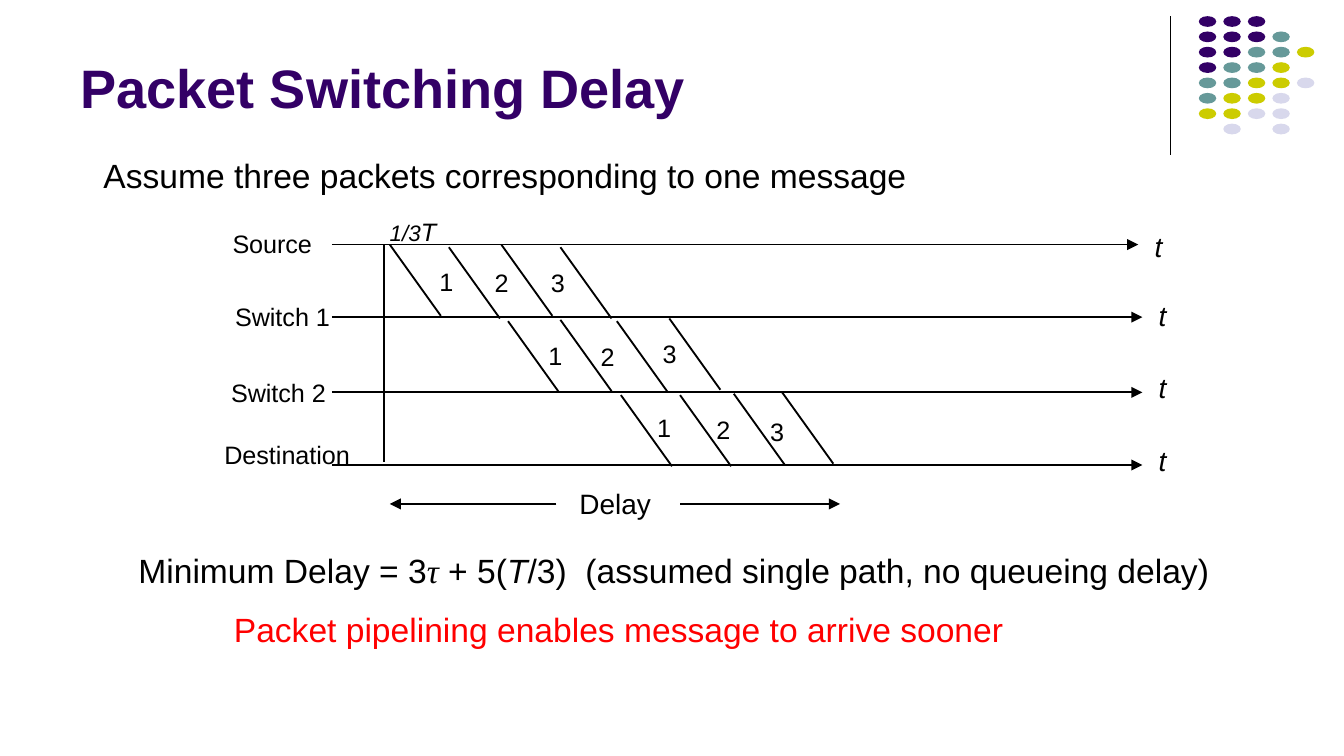
from pptx import Presentation
from pptx.dml.color import RGBColor
from pptx.enum.shapes import MSO_CONNECTOR, MSO_SHAPE
from pptx.enum.text import MSO_ANCHOR
from pptx.oxml.ns import qn
from pptx.util import Inches, Pt
from lxml import etree

BLACK = RGBColor(0x00, 0x00, 0x00)
RED = RGBColor(0xFF, 0x00, 0x00)
PURPLE = RGBColor(0x33, 0x00, 0x66)
TEAL = RGBColor(0x66, 0x99, 0x99)
OLIVE = RGBColor(0xCC, 0xCC, 0x00)
LAVENDER = RGBColor(0xD8, 0xD8, 0xEC)

DOT_COLORS = {"P": PURPLE, "T": TEAL, "O": OLIVE, "L": LAVENDER}
DOT_ROWS = ["PPP", "PPPT", "PPTTO", "PTTO", "TTOOL", "TOOL", "OOLL", " L L"]

# Per node: label, label x, label y, label width, axis y, axis end, t y
NODES = [
    ("Source", 0.06, 0.09, 0.75, 0.25, 6.87, 0.10),
    ("Switch 1", 0.08, 0.63, 0.86, 0.79, 6.90, 0.61),
    ("Switch 2", 0.05, 1.20, 0.87, 1.35, 6.90, 1.15),
    ("Destination", 0, 1.66, 1.10, 1.89, 6.90, 1.69),
]

# Per hop, relative to the sender's axis: packet edges, then packet numbers
HOPS = [
    ([(1.30, 0), (1.74, 0.02), (2.13, 0), (2.57, 0.02)],
     [(1.60, 0.12), (2.01, 0.13), (2.43, 0.13)]),
    ([(2.18, 0.03), (2.57, 0.02), (2.99, 0.03), (3.38, 0.01)],
     [(2.41, 0.13), (2.80, 0.14), (3.26, 0.12)]),
    ([(3.02, 0.02), (3.46, 0.02), (3.86, 0.01), (4.22, 0)],
     [(3.22, 0.11), (3.66, 0.12), (4.06, 0.14)]),
]
EDGE_RUN, EDGE_DROP = 0.38, 0.53


def add_line(slide, x1, y1, x2, y2, width=1, arrow=False):
    line = slide.shapes.add_connector(
        MSO_CONNECTOR.STRAIGHT, Inches(x1), Inches(y1), Inches(x2), Inches(y2))
    line.line.color.rgb = BLACK
    line.line.width = Pt(width)
    if arrow:
        etree.SubElement(line.line._get_or_add_ln(), qn("a:tailEnd"), type="triangle")
    etree.SubElement(line._element.spPr, qn("a:effectLst"))


def add_text(slide, left, top, width, height, runs, color=BLACK, wrap=False):
    """Add one paragraph; each run is (text, size, optional font settings)."""
    box = slide.shapes.add_textbox(
        Inches(left), Inches(top), Inches(width), Inches(height))
    frame = box.text_frame
    frame.word_wrap = wrap
    frame.margin_left = frame.margin_right = Inches(0.07)
    frame.margin_top = frame.margin_bottom = Inches(0.04)
    for text, size, *settings in runs:
        run = frame.paragraphs[0].add_run()
        run.text = text
        run.font.size = Pt(size)
        run.font.name = "Arial"
        run.font.color.rgb = color
        for name, value in (settings[0] if settings else {}).items():
            setattr(run.font, name, value)
    return frame


def add_corner_dots(slide, left, top):
    add_line(slide, left, top, left, top + 1.03, 0.75)
    for row, codes in enumerate(DOT_ROWS):
        for column, code in enumerate(codes):
            if code == " ":
                continue
            dot = slide.shapes.add_shape(
                MSO_SHAPE.OVAL,
                Inches(left + 0.21 + column * 0.73 / 4),
                Inches(top + row * 0.8 / 7),
                Inches(0.13), Inches(0.08))
            dot.shadow.inherit = False
            dot.fill.solid()
            dot.fill.fore_color.rgb = DOT_COLORS[code]
            dot.line.fill.background()


def add_title(slide, left, top, width, height):
    title = add_text(slide, left, top, width, height,
                     [("Packet Switching Delay", 29, {"bold": True})], PURPLE, True)
    title.vertical_anchor = MSO_ANCHOR.BOTTOM
    title.margin_left = title.margin_right = Inches(0.1)
    title.margin_top = title.margin_bottom = Inches(0.05)


def add_timing_diagram(slide, left, top):
    italic = {"italic": True}
    for label, x, y, width, axis, end, t_top in NODES:
        add_line(slide, left + 0.87, top + axis, left + end, top + axis, arrow=True)
        add_text(slide, left + x, top + y, width, 0.3, [(label, 13.5)])
        add_text(slide, left + end + 0.05, top + t_top, 0.21, 0.33, [("t", 15, italic)])

    add_line(slide, left + 1.26, top + 0.25, left + 1.26, top + 1.87)
    add_text(slide, left + 1.23, top, 0.5, 0.3,
             [("1/3", 12, italic), ("T", 13.5, italic)])

    for (edges, numbers), node in zip(HOPS, NODES):
        axis = top + node[4]
        for x, y in edges:
            add_line(slide, left + x, axis + y,
                     left + x + EDGE_RUN, axis + y + EDGE_DROP)
        for number, (x, y) in enumerate(numbers, 1):
            add_text(slide, left + x, axis + y, 0.26, 0.3, [(str(number), 13.5)])

    delay = top + 2.18
    add_line(slide, left + 2.54, delay, left + 1.30, delay, arrow=True)
    add_line(slide, left + 3.46, delay, left + 4.65, delay, arrow=True)
    add_text(slide, left + 2.64, top + 2.01, 0.69, 0.33, [("Delay", 15)])


def add_conclusion(slide, left, top):
    add_text(slide, left, top, 8.18, 0.38, [
        ("Minimum Delay = 3", 18),
        ("τ", 18, {"name": "Times New Roman", "italic": True}),
        (" + 5(", 18),
        ("T", 18, {"italic": True}),
        ("/3)  (assumed single path, no queueing delay)", 18),
    ], wrap=True)
    add_text(slide, left + 0.71, top + 0.44, 5.98, 0.38,
             [("Packet pipelining enables message to arrive sooner", 18)], RED, True)


def main():
    prs = Presentation()
    prs.slide_width = Inches(10)
    prs.slide_height = Inches(10 * 9 / 16)
    slide = prs.slides.add_slide(prs.slide_layouts[6])
    add_corner_dots(slide, 8.71, 0.12)
    add_title(slide, 0.5, 0.1, 8.25, 0.84)
    add_text(slide, 0.7, 1.11, 6.23, 0.38,
             [("Assume three packets corresponding to one message", 18)], wrap=True)
    add_timing_diagram(slide, 1.6, 1.57)
    add_conclusion(slide, 0.96, 4.05)
    prs.save("out.pptx")


if __name__ == "__main__":
    main()
